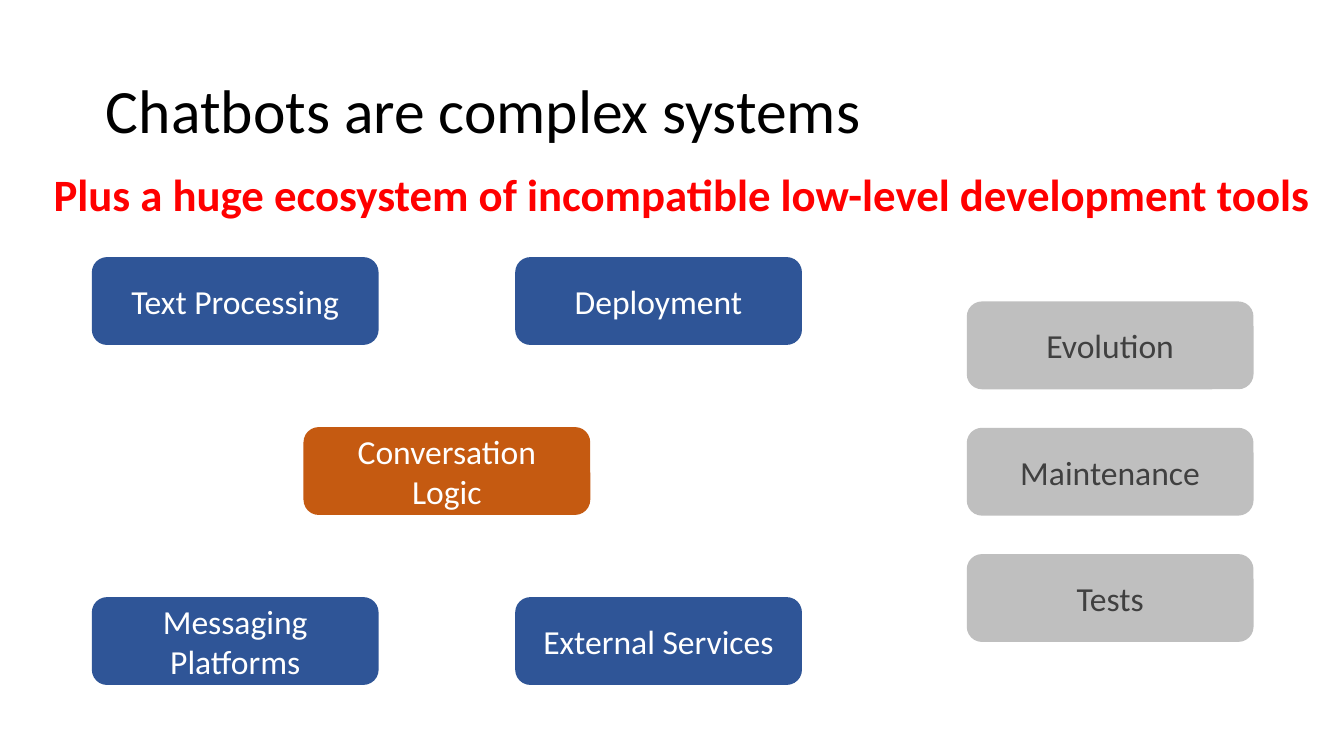
from dataclasses import dataclass

from pptx import Presentation
from pptx.dml.color import RGBColor
from pptx.enum import shapes, text
from pptx.util import Inches, Pt


@dataclass(frozen=True)
class Theme:
    font: str = "Calibri"
    black: str = "000000"
    white: str = "FFFFFF"
    red: str = "FF0000"
    blue: str = "2F5597"
    orange: str = "C55A11"
    gray: str = "BFBFBF"
    dark_gray: str = "404040"
    title_size: int = 33
    subtitle_size: int = 24
    label_size: int = 18


THEME = Theme()
SLIDE_WIDTH = 10
SLIDE_HEIGHT = SLIDE_WIDTH * 9 / 16
BOX_WIDTH, BOX_HEIGHT = 2.12, 0.64


def write(shape, wording, color, size, bold=False, align=text.PP_ALIGN.LEFT,
          anchor=text.MSO_ANCHOR.MIDDLE, line_spacing=None):
    frame = shape.text_frame
    frame.word_wrap = True
    frame.vertical_anchor = anchor
    paragraph = frame.paragraphs[0]
    paragraph.text = wording
    paragraph.alignment = align
    paragraph.line_spacing = line_spacing
    font = paragraph.runs[0].font
    for name, value in dict(name=THEME.font, size=Pt(size), bold=bold).items():
        setattr(font, name, value)
    font.color.rgb = RGBColor.from_string(color)


def add_heading(slide, box, wording, color, size, **formats):
    shape = slide.shapes.add_textbox(*map(Inches, box))
    write(shape, wording, color, size, **formats)


def add_component(slide, left, top, label, fill, color=THEME.white):
    shape = slide.shapes.add_shape(
        shapes.MSO_SHAPE.ROUNDED_RECTANGLE,
        *map(Inches, (left, top, BOX_WIDTH, BOX_HEIGHT)))
    shape.shadow.inherit = False
    shape.fill.solid()
    shape.fill.fore_color.rgb = RGBColor.from_string(fill)
    shape.line.color.rgb = RGBColor.from_string(fill)
    shape.line.width = Pt(1)
    write(shape, label, color, THEME.label_size, align=text.PP_ALIGN.CENTER)


def add_architecture(slide, left, top, width, height):
    """Four components in the corners of the box, the logic in its centre."""
    right_offset, bottom_offset = width - BOX_WIDTH, height - BOX_HEIGHT
    components = [
        (0.5, 0.5, "Conversation Logic", THEME.orange),
        (0, 0, "Text Processing", THEME.blue),
        (1, 1, "External Services", THEME.blue),
        (0, 1, "Messaging Platforms", THEME.blue),
        (1, 0, "Deployment", THEME.blue),
    ]
    for across, down, label, fill in components:
        add_component(slide, left + across * right_offset,
                      top + down * bottom_offset, label, fill)


def add_lifecycle(slide, left, top, height):
    """Concerns spread evenly from the top to the bottom of a column."""
    concerns = ["Evolution", "Maintenance", "Tests"]
    step = (height - BOX_HEIGHT) / (len(concerns) - 1)
    for index, label in enumerate(concerns):
        add_component(slide, left, top + index * step, label,
                      THEME.gray, THEME.dark_gray)


def main():
    presentation = Presentation()
    presentation.slide_width = Inches(SLIDE_WIDTH)
    presentation.slide_height = Inches(SLIDE_HEIGHT)
    slide = presentation.slides.add_slide(presentation.slide_layouts[6])

    add_heading(slide, (0.69, 0.3, 8.62, 1.09), "Chatbots are complex systems",
                THEME.black, THEME.title_size, line_spacing=0.9)
    add_architecture(slide, left=0.69, top=1.92, width=5.27, height=3.17)
    add_lifecycle(slide, left=7.2, top=2.25, height=2.52)
    add_heading(slide, (0.3, 1.19, 9.72, 0.5),
                "Plus a huge ecosystem of incompatible low-level development tools",
                THEME.red, THEME.subtitle_size, bold=True,
                anchor=text.MSO_ANCHOR.TOP)
    presentation.save("out.pptx")


if __name__ == "__main__":
    main()
